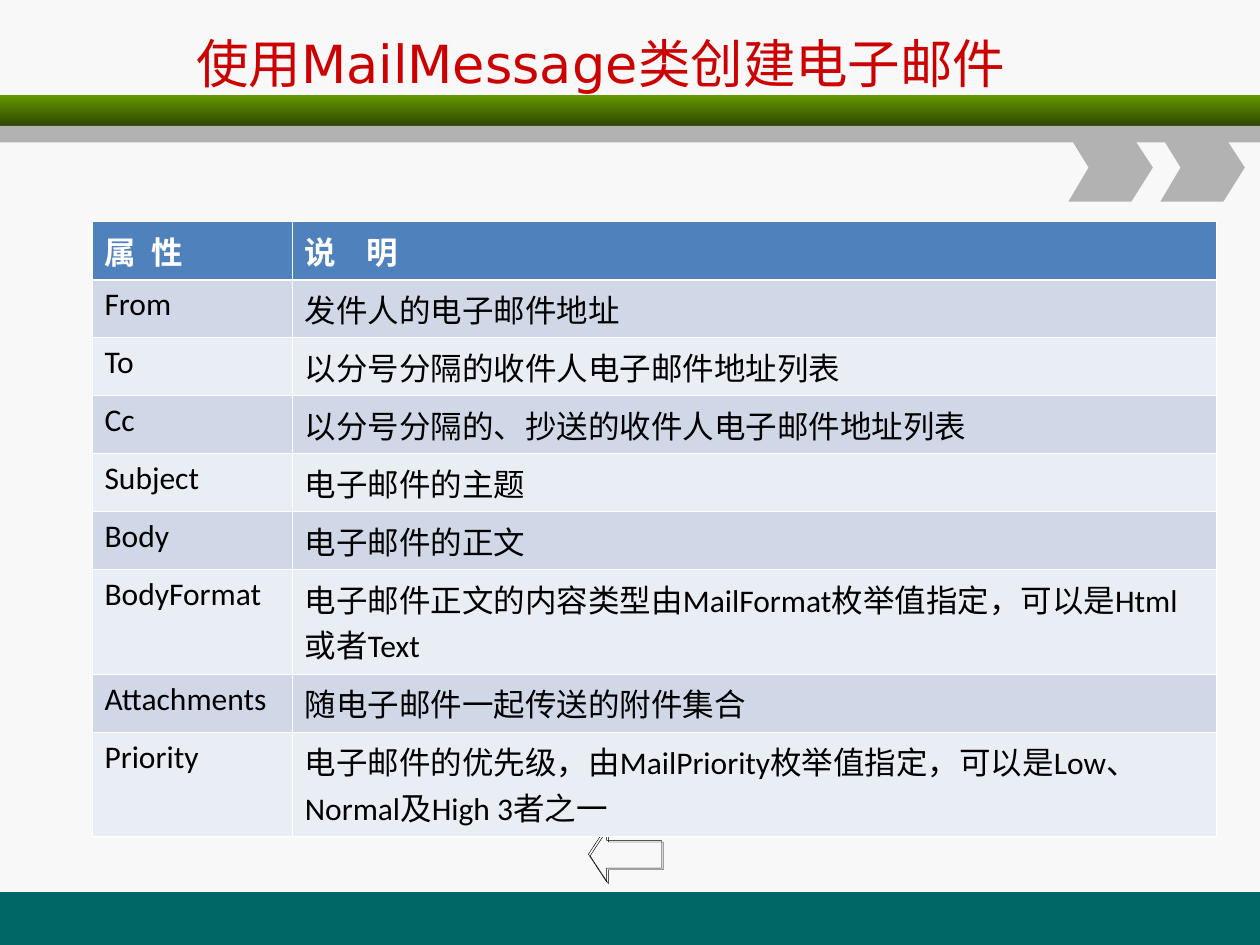
from lxml import etree
from pptx import Presentation
from pptx.dml.color import RGBColor
from pptx.enum import shapes, text
from pptx.oxml import ns
from pptx.util import Inches, Pt

HEADERS = ["属 性", "说 明"]
HEADER_TRACKING = [2.5, 6.5]
PROPERTIES = [
    ("From", "发件人的电子邮件地址"),
    ("To", "以分号分隔的收件人电子邮件地址列表"),
    ("Cc", "以分号分隔的、抄送的收件人电子邮件地址列表"),
    ("Subject", "电子邮件的主题"),
    ("Body", "电子邮件的正文"),
    ("BodyFormat", "电子邮件正文的内容类型由MailFormat枚举值指定，可以是Html或者Text"),
    ("Attachments", "随电子邮件一起传送的附件集合"),
    ("Priority", "电子邮件的优先级，由MailPriority枚举值指定，可以是Low、Normal及High 3者之一"),
]
TALL_ROWS = ("BodyFormat", "Priority")
ROW_HEIGHT, TALL_ROW_HEIGHT = 0.46, 0.83
COLUMN_WIDTHS = [1.59, 7.33]
BAND_FILLS = ["D0D8E8", "E9EDF4"]


def color(value):
    return RGBColor.from_string(value)


def fill_solid(fill, value):
    fill.solid()
    fill.fore_color.rgb = color(value)


def add_element(parent, tag, **attributes):
    element = etree.SubElement(parent, ns.qn(tag))
    for name, value in attributes.items():
        element.set(name, str(value))
    return element


def format_text(frame, font_name, size, value, bold=False):
    for run in frame.paragraphs[0].runs:
        run.font.name = font_name
        run.font.size = Pt(size)
        run.font.bold = bold
        run.font.color.rgb = color(value)


def add_bar(slide, top, height, value):
    """Add a band across the full slide width."""
    bar = slide.shapes.add_shape(shapes.MSO_SHAPE.RECTANGLE, 0, Inches(top),
                                 Inches(10), Inches(height))
    bar.shadow.inherit = False
    bar.line.fill.background()
    fill_solid(bar.fill, value)
    return bar


def add_gradient_bar(slide, top, height, start, end):
    bar = add_bar(slide, top, height, start)
    bar.fill.gradient()
    bar.fill.gradient_angle = 270
    for stop, value in zip(bar.fill.gradient_stops, (start, end)):
        stop.color.rgb = color(value)


def add_chevron(slide, left):
    top, middle, bottom = 1.07, 1.33, 1.6
    points = [(0.5, top), (0.67, middle), (0.5, bottom), (0, bottom), (0.16, middle)]
    builder = slide.shapes.build_freeform(Inches(left), Inches(top))
    builder.add_line_segments([(Inches(left + x), Inches(y)) for x, y in points])
    chevron = builder.convert_to_shape()
    chevron.shadow.inherit = False
    chevron.line.fill.background()
    fill_solid(chevron.fill, "B2B2B2")


def add_back_arrow(slide):
    arrow = slide.shapes.add_shape(shapes.MSO_SHAPE.LEFT_ARROW, Inches(4.67),
                                   Inches(6.56), Inches(0.58), Inches(0.44))
    arrow.adjustments[0] = 0.5
    arrow.adjustments[1] = 0.33
    arrow.fill.background()
    arrow.line.color.rgb = color("000000")
    arrow.line.width = Pt(0.25)
    arrow.shadow.inherit = False
    effects = arrow._element.spPr.find(ns.qn("a:effectLst"))
    shadow = add_element(effects, "a:outerShdw", dist=Pt(1.4), dir=45 * 60000,
                         algn="ctr", rotWithShape=0)
    add_element(shadow, "a:srgbClr", val="000000")


def add_title(slide):
    box = slide.shapes.add_textbox(Inches(1.46), Inches(0.16), Inches(7.1), Inches(0.67))
    frame = box.text_frame
    frame.word_wrap = True
    frame.vertical_anchor = text.MSO_ANCHOR.MIDDLE
    frame.text = "使用MailMessage类创建电子邮件"
    format_text(frame, "DejaVu Sans", 30, "CC0000")


def set_borders(cell, top, bottom):
    """Draw white cell borders; top and bottom are widths in points."""
    properties = cell._tc.get_or_add_tcPr()
    for side, width in (("L", 0.45), ("R", 0.45), ("T", top), ("B", bottom)):
        line = add_element(properties, f"a:ln{side}", w=Pt(width))
        add_element(add_element(line, "a:solidFill"), "a:srgbClr", val="FFFFFF")


def add_property_table(slide):
    rows = [HEADERS, *PROPERTIES]
    heights = [TALL_ROW_HEIGHT if name in TALL_ROWS else ROW_HEIGHT for name, _ in rows]
    table = slide.shapes.add_table(len(rows), 2, Inches(0.73), Inches(1.76),
                                   Inches(sum(COLUMN_WIDTHS)), Inches(sum(heights))).table
    for column, width in zip(table.columns, COLUMN_WIDTHS):
        column.width = Inches(width)
    for row_index, values in enumerate(rows):
        is_header = row_index == 0
        table.rows[row_index].height = Inches(heights[row_index])
        for column_index, value in enumerate(values):
            cell = table.cell(row_index, column_index)
            set_borders(cell, 1.47 if row_index == 1 else 0.45, 1.47 if is_header else 0.45)
            fill_solid(cell.fill, "4F81BD" if is_header else BAND_FILLS[(row_index - 1) % 2])
            cell.text_frame.text = value
            format_text(cell.text_frame, "Calibri", 18,
                        "FFFFFF" if is_header else "000000", is_header)
            if is_header:
                run = cell.text_frame.paragraphs[0].runs[0]
                run._r.get_or_add_rPr().set("spc", str(int(HEADER_TRACKING[column_index] * 100)))


def main():
    presentation = Presentation()
    presentation.slide_width = Inches(10)
    presentation.slide_height = Inches(7.5)
    slide = presentation.slides.add_slide(presentation.slide_layouts[6])
    fill_solid(slide.background.fill, "F8F8F8")
    add_bar(slide, 7.08, 0.42, "006666")
    add_gradient_bar(slide, 0.75, 0.25, "669900", "2F4700")
    add_bar(slide, 1, 0.13, "B2B2B2")
    for left in (8.48, 9.21):
        add_chevron(slide, left)
    add_back_arrow(slide)
    add_title(slide)
    add_property_table(slide)
    presentation.save("out.pptx")


if __name__ == "__main__":
    main()
